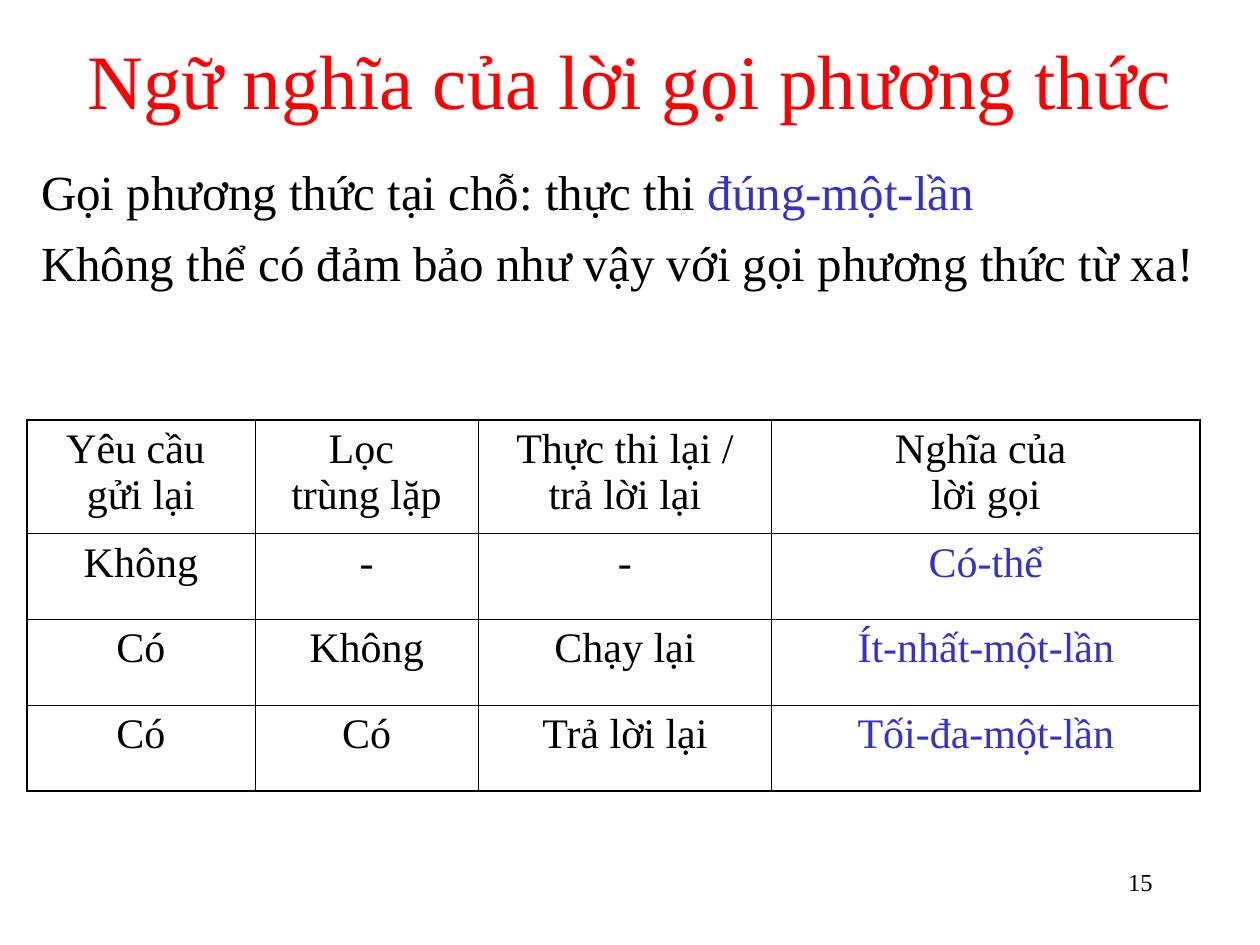
import pptx
import pptx.dml.color
import pptx.enum.text
import pptx.oxml.ns
import pptx.util
from lxml import etree
from pptx.util import Cm

COLORS = {"title": "FF0000", "text": "000000", "accent": "3333CC"}
FONT = "Times New Roman"
ALIGN = pptx.enum.text.PP_ALIGN
ANCHOR = pptx.enum.text.MSO_ANCHOR
STATEMENTS = [
    [("Gọi phương thức tại chỗ: thực thi ", "text"), ("đúng-một-lần", "accent")],
    [("Không thể có đảm bảo như vậy với gọi phương thức từ xa!", "text")],
]
SEMANTICS = [
    ["Yêu cầu \vgửi lại", "Lọc \vtrùng lặp", "Thực thi lại / trả lời lại", "Nghĩa của \vlời gọi"],
    ["Không", "-", "-", "Có-thể"],
    ["Có", "Không", "Chạy lại", "Ít-nhất-một-lần"],
    ["Có", "Có", "Trả lời lại", "Tối-đa-một-lần"],
]
COLUMN_WIDTHS = [4.6, 4.5, 5.92, 8.63]
ROW_HEIGHTS = [2.29, 1.73, 1.73, 1.73]
OUTER_LINE, INNER_LINE = 1.08, 0.45


def apply_format(target, values):
    """Set every attribute in a dict of format values."""
    for attribute, value in values.items():
        setattr(target, attribute, value)


def style_run(run, size, color):
    """Give a run the slide font, a size and a named colour."""
    apply_format(run.font, {"name": FONT, "size": pptx.util.Pt(size), "bold": False})
    run.font.color.rgb = pptx.dml.color.RGBColor.from_string(COLORS[color])


def fill_frame(frame, paragraphs, size, alignment, space_before=0, anchor=ANCHOR.TOP):
    """Write paragraphs of (text, colour) pieces into a text frame."""
    apply_format(frame, {
        "word_wrap": True, "vertical_anchor": anchor,
        "auto_size": pptx.enum.text.MSO_AUTO_SIZE.NONE,
        "margin_left": Cm(0.25), "margin_right": Cm(0.25),
        "margin_top": Cm(0.13), "margin_bottom": Cm(0.13),
    })
    for index, pieces in enumerate(paragraphs):
        paragraph = frame.add_paragraph() if index else frame.paragraphs[0]
        apply_format(paragraph, {"alignment": alignment,
                                 "space_before": pptx.util.Pt(space_before)})
        for text, color in pieces:
            run = paragraph.add_run()
            run.text = text
            style_run(run, size, color)


def add_title(slide, text):
    """Place and format the title placeholder."""
    title = slide.shapes.title
    apply_format(title, {"left": Cm(0), "top": Cm(0), "width": Cm(25.4), "height": Cm(3.18)})
    fill_frame(title.text_frame, [[(text, "title")]], 44, ALIGN.CENTER, anchor=ANCHOR.MIDDLE)


def add_text(slide, box, paragraphs, size, alignment, space_before=0):
    """Add a text box at left, top, width and height in centimetres."""
    frame = slide.shapes.add_textbox(*map(Cm, box)).text_frame
    fill_frame(frame, paragraphs, size, alignment, space_before)


def set_borders(cell, widths):
    """Draw the four cell borders with widths in points."""
    properties = cell._tc.get_or_add_tcPr()
    qn = pptx.oxml.ns.qn
    for side, width in widths.items():
        line = etree.SubElement(properties, qn(f"a:ln{side}"), w=str(pptx.util.Pt(width)))
        fill = etree.SubElement(line, qn("a:solidFill"))
        etree.SubElement(fill, qn("a:srgbClr"), val=COLORS["text"])


def fill_cell(cell, text, color):
    """Write centred text into an unfilled table cell."""
    cell.fill.background()
    apply_format(cell, {"margin_left": Cm(0.25), "margin_right": Cm(0.25),
                        "margin_top": Cm(0.13), "margin_bottom": Cm(0.13)})
    paragraph = cell.text_frame.paragraphs[0]
    apply_format(paragraph, {"text": text, "alignment": ALIGN.CENTER,
                             "space_before": pptx.util.Pt(6)})
    for run in paragraph.runs:
        style_run(run, 24, color)


def add_semantics_table(slide):
    """Add the table of call semantics with a heavier outer frame."""
    last_row, last_column = len(ROW_HEIGHTS) - 1, len(COLUMN_WIDTHS) - 1
    table = slide.shapes.add_table(
        len(ROW_HEIGHTS), len(COLUMN_WIDTHS), Cm(0.54), Cm(8.46),
        Cm(sum(COLUMN_WIDTHS)), Cm(sum(ROW_HEIGHTS))).table
    apply_format(table, {"first_row": False, "horz_banding": False})
    for column, width in zip(table.columns, COLUMN_WIDTHS):
        column.width = Cm(width)
    for r, (height, texts) in enumerate(zip(ROW_HEIGHTS, SEMANTICS)):
        table.rows[r].height = Cm(height)
        for c, text in enumerate(texts):
            cell = table.cell(r, c)
            on_edge = {"L": c == 0, "R": c == last_column, "T": r == 0, "B": r == last_row}
            set_borders(cell, {side: OUTER_LINE if edge else INNER_LINE
                               for side, edge in on_edge.items()})
            fill_cell(cell, text, "accent" if r and c == last_column else "text")


def main():
    """Build and save the slide."""
    deck = pptx.Presentation()
    apply_format(deck, {"slide_width": Cm(25.4), "slide_height": Cm(19.05)})
    slide = deck.slides.add_slide(deck.slide_layouts.get_by_name("Title Only"))
    add_title(slide, "Ngữ nghĩa của lời gọi phương thức")
    add_text(slide, (0.58, 3.12, 24.28, 14.22), STATEMENTS, 28, ALIGN.LEFT, 7)
    add_semantics_table(slide)
    add_text(slide, (18.21, 17.35, 5.28, 1.27), [[("15", "text")]], 14, ALIGN.RIGHT)
    deck.save("out.pptx")


if __name__ == "__main__":
    main()
